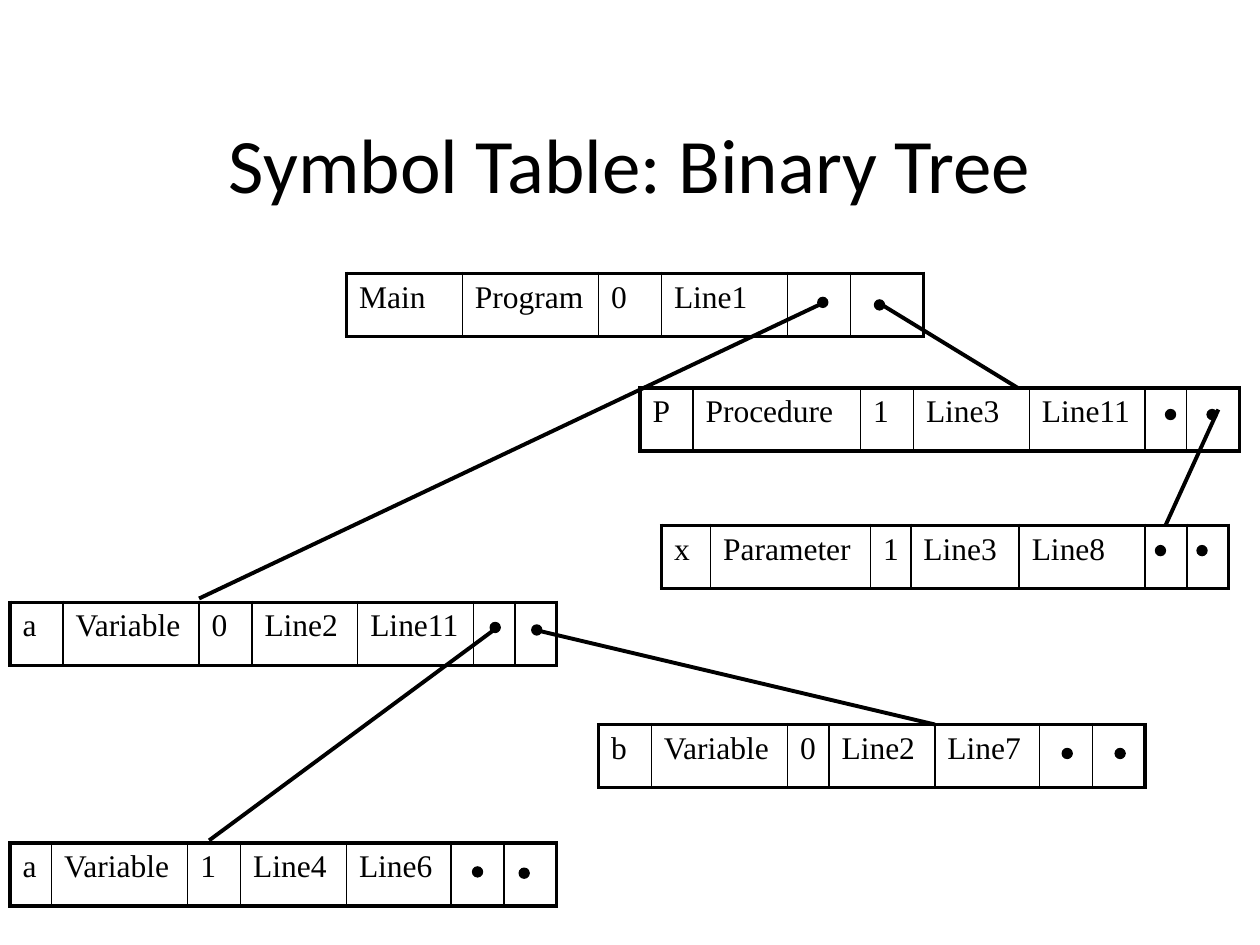
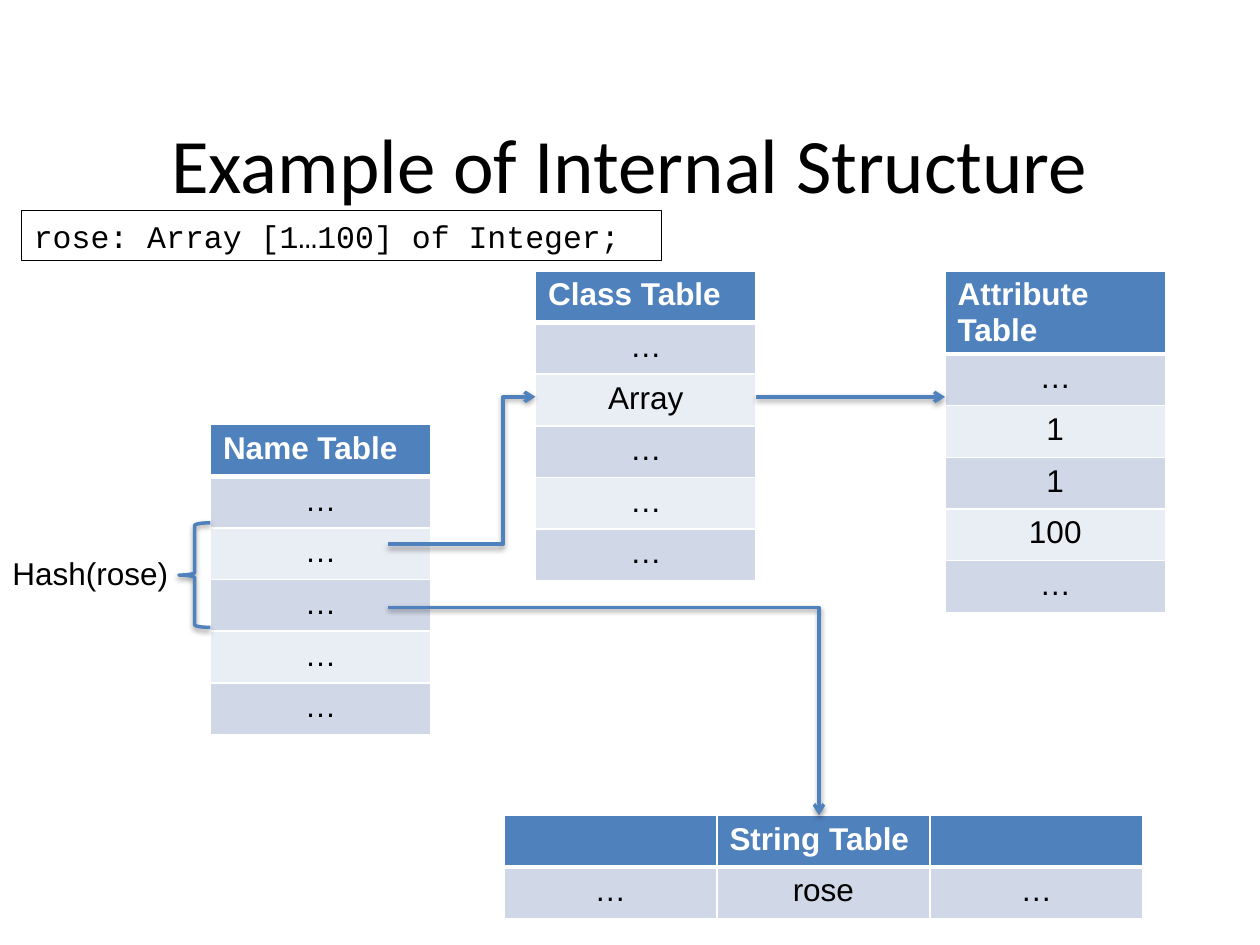
"""Build two slides on symbol tables: a binary tree and an internal structure."""
from lxml.etree import SubElement
from pptx import Presentation
from pptx.dml.color import RGBColor
from pptx.enum.shapes import MSO_CONNECTOR, MSO_SHAPE
from pptx.enum.text import MSO_ANCHOR, PP_ALIGN
from pptx.oxml.ns import qn
from pptx.util import Inches, Pt

COLOURS = {
    "ink": "000000",
    "paper": "FFFFFF",
    "accent": "4F81BD",
    "band_dark": "D0D8E8",
    "band_light": "E9EDF4",
}
THICK, THIN = 2.25, 1
DOT_SIZE = 0.08

TREE_NODES = [
    (2.75, 2.17, [0.92, 1.08, 0.5, 1, 0.5, 0.58],
     ["Main", "Program", "0", "Line1"], [(6.49, 2.36), (6.94, 2.38)]),
    (5.25, 4.17, [0.39, 1.27, 0.32, 0.86, 1, 0.33, 0.33],
     ["x", "Parameter", "1", "Line3", "Line8"], [(9.17, 4.33), (9.5, 4.33)]),
    (5.08, 3.08, [0.42, 1.33, 0.42, 0.92, 0.92, 0.33, 0.42],
     ["P", "Procedure", "1", "Line3", "Line11"], [(9.25, 3.25), (9.58, 3.25)]),
    (0.08, 4.78, [0.42, 1.08, 0.42, 0.84, 0.92, 0.33, 0.33],
     ["a", "Variable", "0", "Line2", "Line11"], [(3.89, 4.94), (4.22, 4.96)]),
    (4.75, 5.75, [0.42, 1.08, 0.33, 0.84, 0.83, 0.42, 0.42],
     ["b", "Variable", "0", "Line2", "Line7"], [(8.43, 5.94), (8.85, 5.94)]),
    (0.08, 6.69, [0.33, 1.08, 0.42, 0.84, 0.83, 0.42, 0.42],
     ["a", "Variable", "1", "Line4", "Line6"], [(3.75, 6.88), (4.12, 6.89)]),
]
BRANCHES = [
    ((6.5, 2.42), (1.58, 4.75)),
    ((7, 2.42), (8.08, 3.08)),
    ((9.67, 3.25), (9.25, 4.17)),
    ((3.92, 5), (1.66, 6.67)),
    ((4.25, 5), (7.42, 5.75)),
]
COLUMN_TABLES = [
    (1.67, 3.37, ["Name Table", "…", "…", "…", "…", "…"]),
    (4.25, 2.15, ["Class Table", "…", "Array", "…", "…", "…"]),
    (7.5, 2.15, ["Attribute Table", "…", "1", "1", "100", "…"]),
]
STRING_TABLE = [["", "String Table", ""], ["…", "rose", "…"]]


def rgb(name):
    return RGBColor.from_string(COLOURS[name])


class SlideBuilder:
    """Holds the shared style and the current slide."""

    def __init__(self):
        self.deck = Presentation()
        self.deck.slide_width = Inches(10)
        self.deck.slide_height = Inches(7.5)
        self.page = None

    def new_page(self, title):
        self.page = self.deck.slides.add_slide(self.deck.slide_layouts[5])
        box = self.page.shapes.title
        box.left, box.top = Inches(0.5), Inches(0.83)
        box.width, box.height = Inches(9), Inches(0.92)
        box.text_frame.vertical_anchor = MSO_ANCHOR.MIDDLE
        self.set_text(box.text_frame, title, "Calibri", 44, align=PP_ALIGN.CENTER)

    def set_text(self, frame, text, font, size=18, colour="ink", bold=False, align=PP_ALIGN.LEFT):
        frame.text = text
        para = frame.paragraphs[0]
        para.alignment = align
        para.font.name, para.font.size = font, Pt(size)
        para.font.bold = bold
        para.font.color.rgb = rgb(colour)
        return para

    def label(self, left, top, width, text, font, outlined=False):
        box = self.page.shapes.add_textbox(Inches(left), Inches(top), Inches(width), Inches(0.4))
        box.text_frame.word_wrap = True
        self.set_text(box.text_frame, text, font)
        if outlined:
            box.line.color.rgb = rgb("ink")
            box.line.width = Pt(0.75)

    def grid(self, left, top, widths, heights, header):
        frame = self.page.shapes.add_table(
            len(heights), len(widths), Inches(left), Inches(top),
            Inches(sum(widths)), Inches(sum(heights)))
        table = frame.table
        table.first_row, table.horz_banding = header, False
        for column, width in zip(table.columns, widths):
            column.width = Inches(width)
        for row, height in zip(table.rows, heights):
            row.height = Inches(height)
        return table

    def borders(self, cell, colour, **widths):
        properties = cell._tc.get_or_add_tcPr()
        for side in "LRTB":
            line = SubElement(properties, qn(f"a:ln{side}"), w=str(Pt(widths[side])))
            fill = SubElement(line, qn("a:solidFill"))
            SubElement(fill, qn("a:srgbClr"), val=COLOURS[colour])

    def record(self, left, top, widths, texts):
        table = self.grid(left, top, widths, [0.5], header=False)
        last = len(widths) - 1
        for index in range(len(widths)):
            cell = table.cell(0, index)
            self.borders(cell, "ink", L=THIN if index else THICK,
                         R=THICK if index == last else THIN, T=THICK, B=THICK)
            cell.fill.background()
            cell.margin_top = Inches(0.07)
            text = texts[index] if index < len(texts) else ""
            para = self.set_text(cell.text_frame, text, "Times New Roman")
            para.line_spacing, para.space_before = 0.93, Pt(4.5)

    def banded_table(self, left, top, width, rows):
        table = self.grid(left, top, [width] * len(rows[0]), [0.41] * len(rows), header=True)
        for row, texts in enumerate(rows):
            header = row == 0
            fill = "accent" if header else "band_dark" if row % 2 else "band_light"
            for column, text in enumerate(texts):
                cell = table.cell(row, column)
                self.borders(cell, "paper", L=1, R=1, T=3 if row == 1 else 1, B=3 if header else 1)
                cell.fill.solid()
                cell.fill.fore_color.rgb = rgb(fill)
                self.set_text(cell.text_frame, text, "Arial",
                              colour="paper" if header else "ink", bold=header,
                              align=PP_ALIGN.LEFT if header else PP_ALIGN.CENTER)

    def outline(self, shape, colour, width, shadow=False):
        shape.line.color.rgb = rgb(colour)
        shape.line.width = Pt(width)
        effects = SubElement(shape.element.spPr, qn("a:effectLst"))
        if shadow:
            outer = SubElement(effects, qn("a:outerShdw"), blurRad="40000", dist="20000",
                               dir="5400000", rotWithShape="0")
            tint = SubElement(outer, qn("a:srgbClr"), val=COLOURS["ink"])
            SubElement(tint, qn("a:alpha"), val="38000")

    def connector(self, start, end, kind=MSO_CONNECTOR.STRAIGHT):
        return self.page.shapes.add_connector(kind, *map(Inches, start + end))

    def branch(self, start, end):
        self.outline(self.connector(start, end), "ink", THICK)

    def arrow(self, start, end, bend=None):
        kind = MSO_CONNECTOR.STRAIGHT if bend is None else MSO_CONNECTOR.ELBOW
        line = self.connector(start, end, kind)
        self.outline(line, "accent", 2, shadow=True)
        properties = line.element.spPr
        SubElement(properties.get_or_add_ln(), qn("a:tailEnd"), type="arrow")
        if bend is not None:
            geometry = properties.find(qn("a:prstGeom"))
            guides = geometry.find(qn("a:avLst"))
            if guides is None:
                guides = SubElement(geometry, qn("a:avLst"))
            SubElement(guides, qn("a:gd"), name="adj1", fmla=f"val {round(bend * 100000)}")

    def dot(self, left, top):
        shape = self.page.shapes.add_shape(
            MSO_SHAPE.OVAL, Inches(left), Inches(top), Inches(DOT_SIZE), Inches(DOT_SIZE))
        shape.fill.solid()
        shape.fill.fore_color.rgb = rgb("ink")
        self.outline(shape, "ink", 0.75)

    def brace(self, left, top, width, height):
        shape = self.page.shapes.add_shape(
            MSO_SHAPE.LEFT_BRACE, Inches(left), Inches(top), Inches(width), Inches(height))
        shape.fill.background()
        self.outline(shape, "accent", 2, shadow=True)


def build_binary_tree(builder):
    builder.new_page("Symbol Table: Binary Tree")
    for left, top, widths, texts, _ in TREE_NODES:
        builder.record(left, top, widths, texts)
    for start, end in BRANCHES:
        builder.branch(start, end)
    for *_, dots in TREE_NODES:
        for left, top in dots:
            builder.dot(left, top)


def build_internal_structure(builder):
    builder.new_page("Example of Internal Structure")
    for left, top, texts in COLUMN_TABLES:
        builder.banded_table(left, top, 1.75, [[text] for text in texts])
    builder.banded_table(4, 6.47, 1.69, STRING_TABLE)
    builder.arrow((6, 3.15), (7.5, 3.15))
    builder.arrow((3.08, 4.32), (4.25, 3.15), bend=0.78)
    builder.arrow((3.08, 4.82), (6.5, 6.47), bend=1)
    builder.brace(1.42, 4.15, 0.25, 0.83)
    builder.label(0, 4.35, 1.67, "Hash(rose)", "Arial")
    builder.label(0.17, 1.67, 5.08, "rose: Array [1…100] of Integer;", "Courier New", outlined=True)


def main():
    builder = SlideBuilder()
    build_binary_tree(builder)
    build_internal_structure(builder)
    builder.deck.save("out.pptx")


if __name__ == "__main__":
    main()
